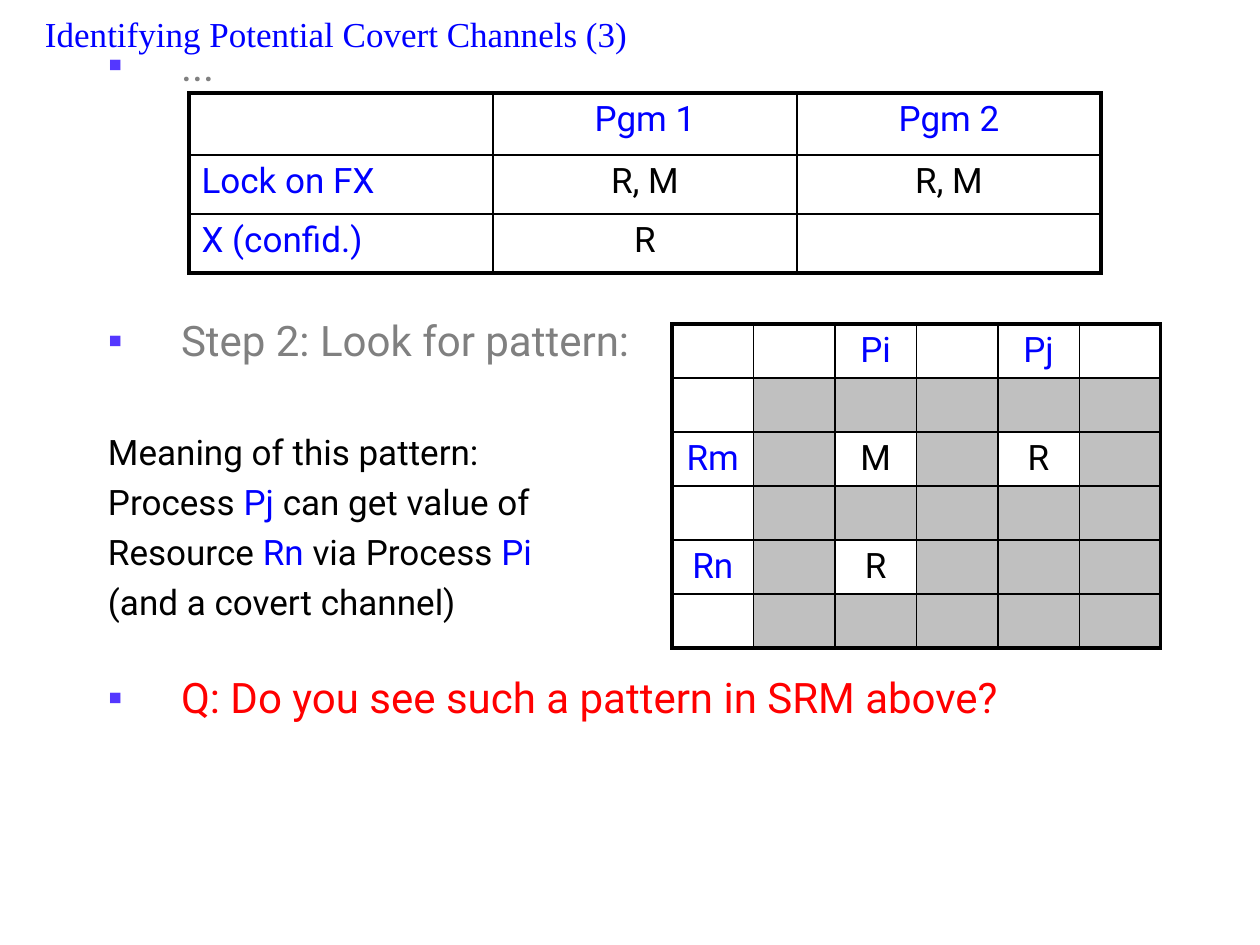
from dataclasses import dataclass
from pptx import Presentation
from pptx.dml.color import RGBColor
from pptx.enum.text import MSO_ANCHOR as Anchor, MSO_AUTO_SIZE as AutoSize, PP_ALIGN as Align
from pptx.oxml import parse_xml
from pptx.oxml.ns import nsdecls
from pptx.util import Emu, Pt

BLUE, BLACK, GRAY, RED = "0000FF", "000000", "808080", "FF0000"
SILVER, VIOLET = "C0C0C0", "5437FF"


def px(length):
    return Emu(round(length * 914400 / 126))


def color(value):
    return RGBColor.from_string(value)


@dataclass
class SlideBuilder:
    page: object
    title_font: str = "Times New Roman"
    body_font: str = "Roboto"
    thin: float = 1
    thick: float = 2.25

    def place(self, shape, left, top, width, height):
        shape.left, shape.top = px(left), px(top)
        shape.width, shape.height = px(width), px(height)
        frame = shape.text_frame
        frame.margin_left = frame.margin_right = frame.margin_top = frame.margin_bottom = 0
        frame.auto_size = AutoSize.NONE
        frame.vertical_anchor = Anchor.TOP
        frame.word_wrap = True
        return frame

    def style(self, span, name, size, shade):
        span.font.name = name
        span.font.size = Pt(size)
        span.font.color.rgb = color(shade)

    def title(self, text, *area):
        frame = self.place(self.page.shapes.title, *area)
        frame.text = text
        para = frame.paragraphs[0]
        para.alignment = Align.LEFT
        self.style(para.runs[0], self.title_font, 20, BLUE)

    def body(self, lines, *area):
        frame = self.place(self.page.placeholders[1], *area)
        for index, (spans, size, gap, bulleted) in enumerate(lines):
            para = frame.paragraphs[0] if index == 0 else frame.add_paragraph()
            para.level = 1
            para.alignment = Align.LEFT
            para.line_spacing = 1.0
            para.space_before = px(gap)
            self.bullet(para, bulleted)
            for text, shade in spans:
                span = para.add_run()
                span.text = text
                self.style(span, self.body_font, size, shade)

    def bullet(self, para, bulleted):
        props = para._p.get_or_add_pPr()
        props.set("marL", str(px(136 if bulleted else 63)))
        props.set("indent", str(px(-73 if bulleted else 0)))
        if bulleted:
            props.append(parse_xml(f'<a:buClr {nsdecls("a")}><a:srgbClr val="{VIOLET}"/></a:buClr>'))
            props.append(parse_xml(f'<a:buChar {nsdecls("a")} char="▪"/>'))
        else:
            props.append(parse_xml(f'<a:buNone {nsdecls("a")}/>'))

    def table(self, rows, left, top, column_width, heights, shaded=False, left_labels=False):
        row_count, column_count = len(rows), len(rows[0])
        table = self.page.shapes.add_table(
            row_count, column_count, px(left), px(top),
            px(column_width * column_count), px(sum(heights))).table
        table.first_row = table.horz_banding = False
        for column in table.columns:
            column.width = px(column_width)
        for row, height in zip(table.rows, heights):
            row.height = px(height)
        for r, texts in enumerate(rows):
            for c, text in enumerate(texts):
                cell = table.cell(r, c)
                label = r == 0 or c == 0
                if shaded and not label and not text:
                    cell.fill.solid()
                    cell.fill.fore_color.rgb = color(SILVER)
                else:
                    cell.fill.background()
                edges = (c == 0, c == column_count - 1, r == 0, r == row_count - 1)
                self.borders(cell, edges)
                cell.text = text
                para = cell.text_frame.paragraphs[0]
                para.alignment = Align.LEFT if left_labels and c == 0 else Align.CENTER
                for span in para.runs:
                    self.style(span, self.body_font, 20, BLUE if label else BLACK)

    def borders(self, cell, edges):
        props = cell._tc.get_or_add_tcPr()
        for index, (side, outer) in enumerate(zip("LRTB", edges)):
            width = Pt(self.thick if outer else self.thin)
            props.insert(index, parse_xml(
                f'<a:ln{side} {nsdecls("a")} w="{width}"><a:solidFill>'
                f'<a:srgbClr val="{BLACK}"/></a:solidFill></a:ln{side}>'))


def main():
    deck = Presentation()
    deck.slide_width, deck.slide_height = px(1260), px(945)
    builder = SlideBuilder(deck.slides.add_slide(deck.slide_layouts[1]))
    builder.title("Identifying Potential Covert Channels (3)", 45, 12, 1202, 40)
    builder.body([
        ([("...", GRAY)], 24, 0, True),
        ([("Step 2: Look for pattern:", GRAY)], 24, 225, True),
        ([("Meaning of this pattern:", BLACK)], 20, 66, False),
        ([("Process ", BLACK), ("Pj ", BLUE), ("can get value of", BLACK)], 20, 8, False),
        ([("Resource ", BLACK), ("Rn", BLUE), (" via Process ", BLACK), ("Pi", BLUE)], 20, 8, False),
        ([("(and a covert channel)", BLACK)], 20, 8, False),
        ([("Q: Do you see such a pattern in SRM above?", RED)], 24, 49, True),
    ], 45, 39, 1202, 870)
    builder.table([
        ["", "", "Pi", "", "Pj", ""],
        [""] * 6,
        ["Rm", "", "M", "", "R", ""],
        [""] * 6,
        ["Rn", "", "R", "", "", ""],
        [""] * 6,
    ], 672, 324, 81.5, [54] * 6, shaded=True)
    builder.table([
        ["", "Pgm 1", "Pgm 2"],
        ["Lock on FX", "R, M", "R, M"],
        ["X (confid.)", "R", ""],
    ], 189, 93, 304, [62, 59, 59], left_labels=True)
    deck.save("out.pptx")


if __name__ == "__main__":
    main()
